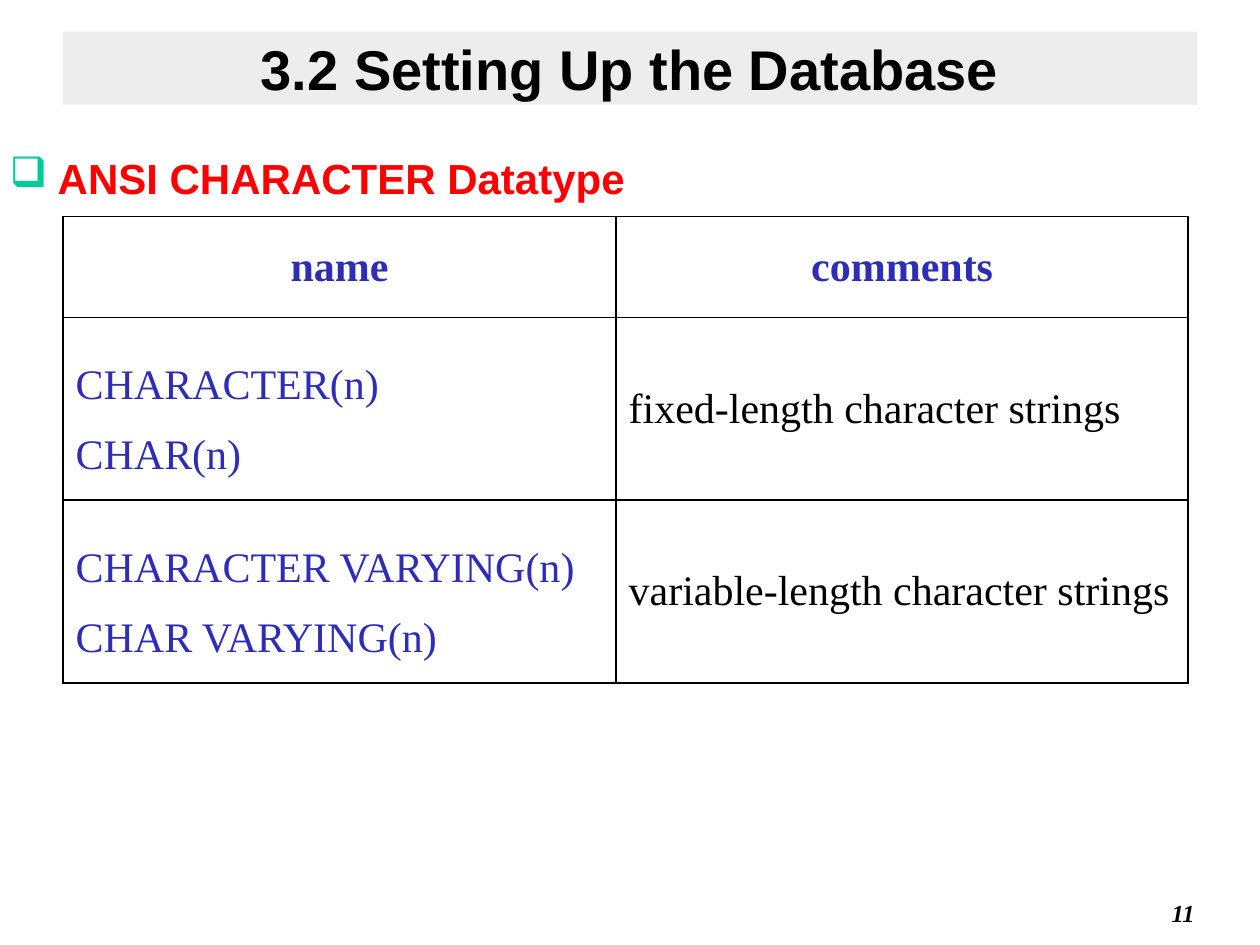
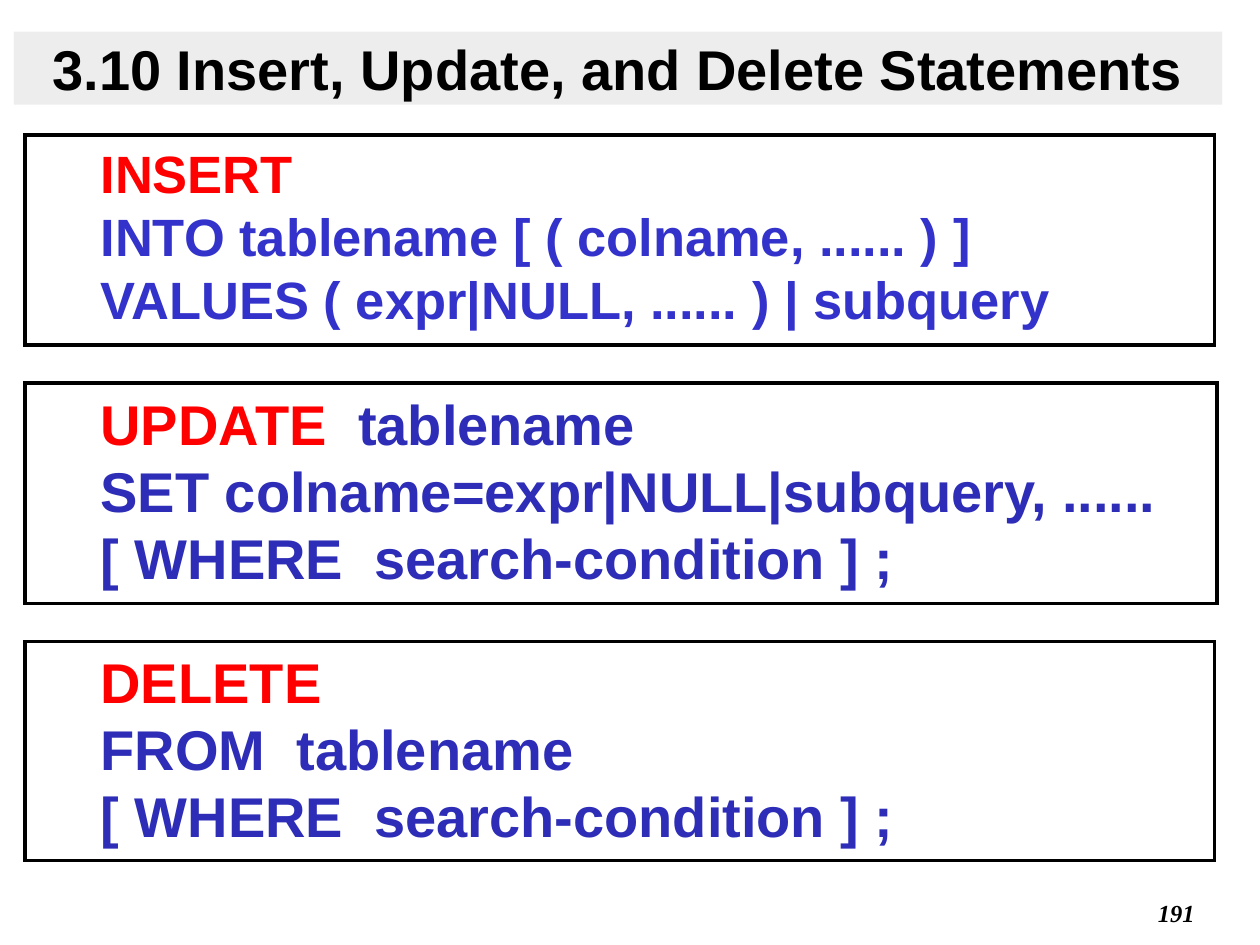
from lxml import etree
from pptx import Presentation
from pptx.dml.color import RGBColor
from pptx.enum import shapes, text
from pptx.oxml import ns
from pptx.util import Inches, Pt

BLACK = RGBColor(0x00, 0x00, 0x00)
WHITE = RGBColor(0xFF, 0xFF, 0xFF)
RED = RGBColor(0xFF, 0x00, 0x00)
NAVY = RGBColor(0x2D, 0x2D, 0xB7)
BLUE = RGBColor(0x33, 0x33, 0xCC)
BAND_GREY = RGBColor(0xDD, 0xDD, 0xDD)
BULLET_GREEN = RGBColor(0x00, 0xCC, 0x99)
SANS, SERIF = "Arial", "Times New Roman"
CENTER, RIGHT, LEFT = text.PP_ALIGN.CENTER, text.PP_ALIGN.RIGHT, text.PP_ALIGN.LEFT


def add_xml(parent, tag, **attributes):
    return etree.SubElement(parent, ns.qn(tag), **attributes)


def add_run(paragraph, words, size, color, font=SANS, bold=True, italic=False):
    run = paragraph.add_run()
    run.text = words
    run.font.size, run.font.name = Pt(size), font
    run.font.bold, run.font.italic = bold, italic
    run.font.color.rgb = color


def add_lines(frame, lines, size, indent=None, spacing=None, **style):
    """Write one paragraph per line; a line is a list of (words, color)."""
    for index, line in enumerate(lines):
        paragraph = frame.paragraphs[0] if index == 0 else frame.add_paragraph()
        paragraph.alignment = LEFT
        if spacing:
            paragraph.line_spacing = spacing
        if indent:
            set_indent(paragraph, *indent)
        for words, color in line:
            add_run(paragraph, words, size, color, **style)


def set_indent(paragraph, margin, first_line):
    properties = paragraph._p.get_or_add_pPr()
    properties.set("marL", str(Inches(margin)))
    properties.set("indent", str(Inches(first_line)))
    return properties


def add_rectangle(slide, box, fill):
    shape = slide.shapes.add_shape(shapes.MSO_SHAPE.RECTANGLE, *map(Inches, box))
    shape.shadow.inherit = False
    shape.fill.solid()
    shape.fill.fore_color.rgb = fill
    shape.text_frame.word_wrap = True
    return shape


def add_text_box(slide, box):
    frame = slide.shapes.add_textbox(*map(Inches, box)).text_frame
    frame.word_wrap = True
    return frame


# Shared title band and page number
def add_base_slide(presentation, title, band_left, band_width, number):
    slide = presentation.slides.add_slide(presentation.slide_layouts[6])
    band = add_rectangle(slide, (band_left, 0.25, band_width, 0.58), BAND_GREY)
    band.line.fill.background()
    color = band._element.spPr.find(".//" + ns.qn("a:srgbClr"))
    add_xml(color, "a:alpha", val="50000")
    band.text_frame.vertical_anchor = text.MSO_ANCHOR.MIDDLE
    paragraph = band.text_frame.paragraphs[0]
    paragraph.alignment = CENTER
    add_run(paragraph, title, 32, BLACK)

    paragraph = add_text_box(slide, (7.5, 7.08, 2.08, 0.33)).paragraphs[0]
    paragraph.alignment = RIGHT
    add_run(paragraph, str(number), 14, BLACK, SERIF, italic=True)
    return slide


# Heading with a hollow square bullet
def add_heading(slide, box, words):
    paragraph = add_text_box(slide, box).paragraphs[0]
    paragraph.line_spacing = 1.2
    properties = set_indent(paragraph, 0.38, -0.38)
    add_xml(add_xml(properties, "a:buClr"), "a:srgbClr", val=str(BULLET_GREEN))
    add_xml(properties, "a:buFont", typeface="Wingdings", charset="2")
    add_xml(properties, "a:buChar", char="q")
    add_run(paragraph, words, 24, RED)


def set_borders(cell):
    properties = cell._tc.get_or_add_tcPr()
    for position, side in enumerate(("a:lnL", "a:lnR", "a:lnT", "a:lnB")):
        line = etree.Element(ns.qn(side), w=str(Pt(1)))
        add_xml(add_xml(line, "a:solidFill"), "a:srgbClr", val=str(BLACK))
        properties.insert(position, line)


# Datatype table: names on the left, comments on the right
def add_datatype_table(slide, left, top, widths, heights, header, rows):
    table = slide.shapes.add_table(
        len(heights), len(widths), Inches(left), Inches(top),
        Inches(sum(widths)), Inches(sum(heights))).table
    for column, width in zip(table.columns, widths):
        column.width = Inches(width)
    for row, height in zip(table.rows, heights):
        row.height = Inches(height)
    for cell in table.iter_cells():
        cell.fill.solid()
        cell.fill.fore_color.rgb = WHITE
        cell.vertical_anchor = text.MSO_ANCHOR.MIDDLE
        set_borders(cell)

    for column, words in enumerate(header):
        paragraph = table.cell(0, column).text_frame.paragraphs[0]
        paragraph.alignment = CENTER
        add_run(paragraph, words, 24, NAVY, SERIF)
    for index, (names, comment) in enumerate(rows, start=1):
        add_lines(table.cell(index, 0).text_frame, [[(name, NAVY)] for name in names],
                  24, spacing=1.5, font=SERIF, bold=False)
        add_lines(table.cell(index, 1).text_frame, [[(comment, BLACK)]],
                  24, font=SERIF, bold=False)


# Framed syntax of one statement
def add_statement(slide, box, size, lines):
    frame = add_rectangle(slide, box, WHITE)
    frame.line.color.rgb = BLACK
    frame.line.width = Pt(2)
    add_xml(frame.line._get_or_add_ln(), "a:miter", lim="800000")
    frame.text_frame.vertical_anchor = text.MSO_ANCHOR.TOP
    add_lines(frame.text_frame, lines, size, indent=(0.81, -0.31))


def build_datatype_slide(presentation):
    slide = add_base_slide(presentation, "3.2 Setting Up the Database", 0.5, 9, 11)
    add_heading(slide, (-0.02, 1.08, 10.06, 0.58), "ANSI CHARACTER Datatype")
    add_datatype_table(
        slide, 0.5, 1.72, (4.39, 4.54), (0.8, 1.45, 1.45), ("name", "comments"),
        [(("CHARACTER(n)", "CHAR(n)"), "fixed-length character strings"),
         (("CHARACTER VARYING(n)", "CHAR VARYING(n)"),
          "variable-length character strings")])


def build_statement_slide(presentation):
    slide = add_base_slide(
        presentation, "3.10 Insert, Update, and Delete Statements", 0.11, 9.59, 191)
    where = [("[ WHERE  search-condition ] ;", NAVY)]
    add_statement(slide, (0.2, 1.07, 9.44, 1.67), 30, [
        [("INSERT", RED)],
        [("INTO tablename [ ( colname, ...... ) ]", BLUE)],
        [("VALUES ( expr|NULL, ...... ) | subquery", BLUE)]])
    add_statement(slide, (0.2, 3.04, 9.46, 1.75), 32, [
        [("UPDATE  ", RED), ("tablename", NAVY)],
        [("SET colname=expr|NULL|subquery, ......", NAVY)],
        where])
    add_statement(slide, (0.2, 5.09, 9.44, 1.74), 32, [
        [("DELETE", RED)],
        [("FROM  tablename", NAVY)],
        where])


def main():
    presentation = Presentation()
    presentation.slide_width = Inches(10)
    presentation.slide_height = Inches(7.5)
    build_datatype_slide(presentation)
    build_statement_slide(presentation)
    presentation.save("out.pptx")


if __name__ == "__main__":
    main()
